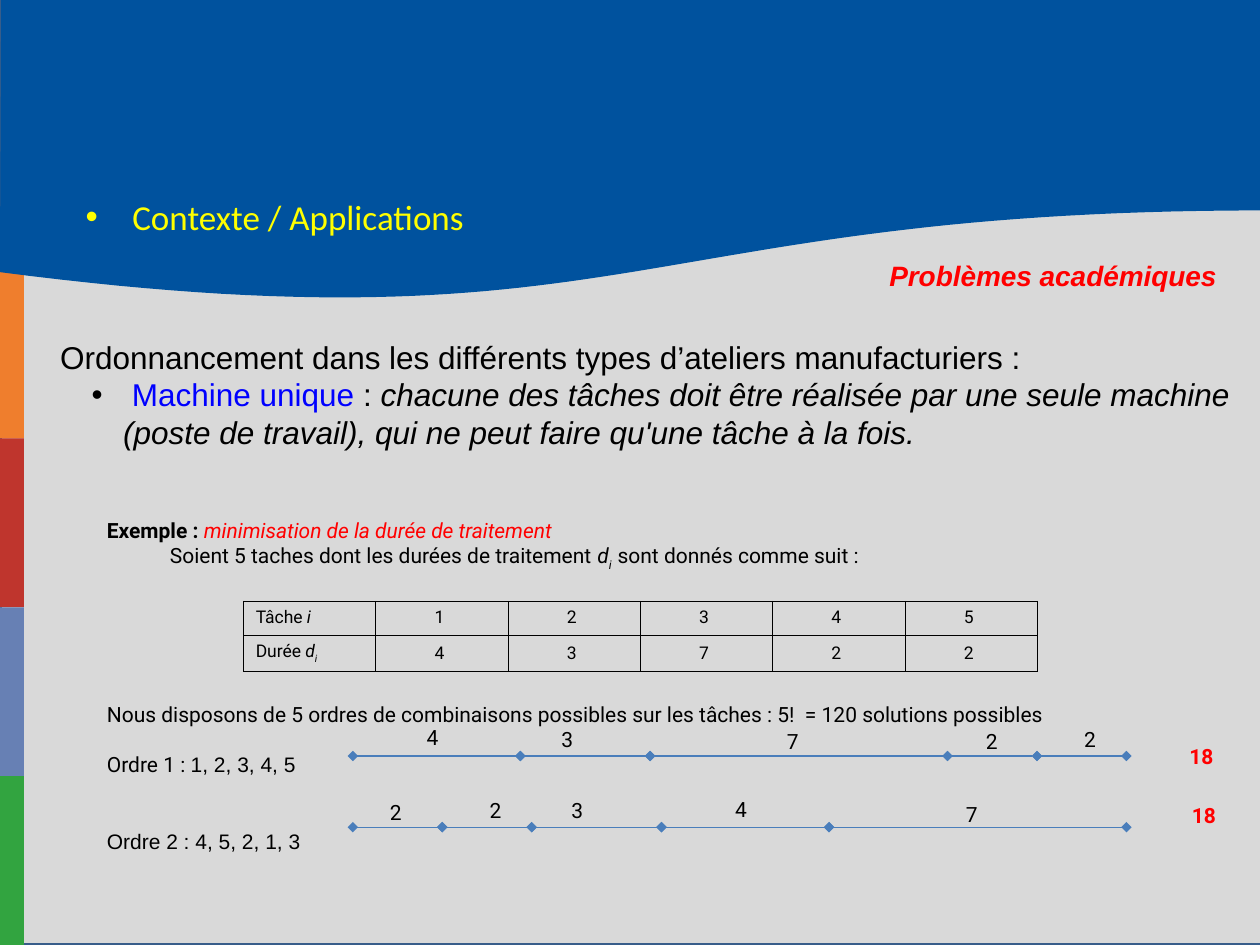
from itertools import accumulate, pairwise
from lxml import etree
from pptx import Presentation
from pptx import util as u
from pptx.dml.color import RGBColor
from pptx.enum import shapes, text
from pptx.oxml.ns import qn

W, H = u.Inches(10), u.Inches(7.5)
COL, ROW = W / 100, H / 75

BLACK = RGBColor(0, 0, 0)
RED = RGBColor(255, 0, 0)
BLUE = RGBColor(0, 0, 255)
YELLOW = RGBColor(255, 255, 0)
GREY = RGBColor(0xD9, 0xD9, 0xD9)
FRAME = RGBColor(0x38, 0x5D, 0x8A)
WAVE = RGBColor(0x00, 0x52, 0x9E)
LINE = RGBColor(0x4A, 0x7E, 0xBB)
STRIPES = [RGBColor(0xEF, 0x7E, 0x2D), RGBColor(0xBF, 0x35, 0x2D),
           RGBColor(0x67, 0x80, 0xB4), RGBColor(0x32, 0xA4, 0x40)]

SEGMENT_COLS = {2: 7.1, 3: 10.3, 4: 13.3, 7: 23.6}


def place(box):
    x, y, w, h = box
    return [round(v) for v in (x * COL, y * ROW, w * COL, h * ROW)]


def sub(parent, tag, **attrs):
    return etree.SubElement(parent, qn(tag), attrs)


def style(p, size, font="Roboto", color=BLACK, bold=False, italic=False, align=None):
    f = p.font
    f.size, f.name, f.bold, f.italic = u.Pt(size), font, bold, italic
    f.color.rgb = color
    p.alignment = align


def add_runs(p, *runs):
    for words, look in runs:
        r = p.add_run()
        r.text = words
        for key in ("bold", "italic", "name"):
            if key in look:
                setattr(r.font, key, look[key])
        if "color" in look:
            r.font.color.rgb = look["color"]
        if look.get("subscript"):
            r.font._element.set("baseline", "-25000")


def indent(p, left, first, bullet=None):
    pPr = p._p.get_or_add_pPr()
    pPr.set("marL", str(round(left * COL)))
    pPr.set("indent", str(round(first * COL)))
    if bullet:
        clr = etree.Element(qn("a:buClr"))
        sub(clr, "a:srgbClr", val=str(bullet))
        font = etree.Element(qn("a:buFont"), typeface="Arial")
        char = etree.Element(qn("a:buChar"), char="•")
        for i, el in enumerate((clr, font, char)):
            pPr.insert(i, el)


def add_text(s, box, wrap=True):
    tf = s.shapes.add_textbox(*place(box)).text_frame
    tf.word_wrap = wrap
    return tf


def add_label(s, box, words, size=12, align=text.PP_ALIGN.CENTER, **look):
    p = add_text(s, box).paragraphs[0]
    p.text = words
    style(p, size, align=align, **look)


def paint(sp, color):
    sp.shadow.inherit = False
    sp.fill.solid()
    sp.fill.fore_color.rgb = color
    sp.line.fill.background()


def bezier(a, b, c, d, steps=60):
    for i in range(1, steps + 1):
        t = i / steps
        k = ((1 - t) ** 3, 3 * t * (1 - t) ** 2, 3 * t * t * (1 - t), t ** 3)
        yield tuple(sum(m * q[axis] for m, q in zip(k, (a, b, c, d))) for axis in (0, 1))


def add_backdrop(s, box):
    x, y, w, h = box
    panel = s.shapes.add_shape(shapes.MSO_SHAPE.RECTANGLE, *place((x, y, w + 0.3, h)))
    paint(panel, GREY)
    panel.line.color.rgb = FRAME
    panel.line.width = u.Pt(2)

    step = 13.4
    first = y + h - step * len(STRIPES)
    for i, color in enumerate(STRIPES):
        stripe = (x, first + i * step, 1.9, step)
        paint(s.shapes.add_shape(shapes.MSO_SHAPE.RECTANGLE, *place(stripe)), color)

    right, left = (x + 100.3, y + 16.7), (x, y + 21.6)
    edge = bezier(right, (x + 50.3, y + 16.7), (x + 50, y + 28.1), left)
    outline = [(x + 100.2, y), right, *edge]
    fb = s.shapes.build_freeform(round((x + 0.1) * COL), round(y * ROW))
    fb.add_line_segments([(round(a * COL), round(b * ROW)) for a, b in outline])
    paint(fb.convert_to_shape(), WAVE)


def add_title(s, box):
    sp = s.shapes.title
    s.shapes._spTree.append(sp._element)
    sp.left, sp.top, sp.width, sp.height = place(box)
    tf = sp.text_frame
    tf.vertical_anchor = text.MSO_ANCHOR.TOP
    p = tf.paragraphs[0]
    p.text = "Contexte / Applications"
    style(p, 20, "Calibri", YELLOW, align=text.PP_ALIGN.LEFT)
    indent(p, 3.7, -3.7, YELLOW)


def add_definition(s, box):
    tf = add_text(s, box, wrap=False)
    intro, machine, rest = tf.paragraphs[0], tf.add_paragraph(), tf.add_paragraph()
    for p in (intro, machine, rest):
        style(p, 18, "Arial", italic=p is rest)
    intro.text = "Ordonnancement dans les différents types d’ateliers manufacturiers :"
    add_runs(machine, (" ", {}), ("Machine unique ", {"color": BLUE}), (": ", {}),
             ("chacune des tâches doit être réalisée par une seule machine", {"italic": True}))
    rest.text = "(poste de travail), qui ne peut faire qu'une tâche à la fois."
    indent(machine, 5, -2.5, BLACK)
    indent(rest, 5, 0)


def add_example(s, box):
    tf = add_text(s, box)
    lines = [
        (0, [("Exemple : ", {"bold": True}),
             ("minimisation de la durée de traitement", {"color": RED, "italic": True})]),
        (0, [("\tSoient 5 taches dont les durées de traitement ", {}),
             ("d", {"italic": True}), ("i  ", {"italic": True, "subscript": True}),
             ("sont donnés comme suit :", {})]),
        (74, [("Nous disposons de 5 ordres de combinaisons possibles sur les tâches : "
               "5!  = 120 solutions possibles", {})]),
        (14.5, [("Ordre 1 : ", {}), ("1, 2, 3, 4, 5", {"name": "Arial"})]),
        (29.5, [("Ordre 2 : 4, 5, 2, 1, 3", {"name": "Arial"})]),
    ]
    for i, (gap, runs) in enumerate(lines):
        p = tf.add_paragraph() if i else tf.paragraphs[0]
        style(p, 12)
        p.space_before = u.Pt(gap)
        add_runs(p, *runs)


def add_borders(cell):
    tcPr = cell._tc.get_or_add_tcPr()
    for i, side in enumerate(("a:lnL", "a:lnR", "a:lnT", "a:lnB")):
        ln = etree.Element(qn(side), w=str(u.Pt(0.11)))
        sub(sub(ln, "a:solidFill"), "a:srgbClr", val=str(BLACK))
        tcPr.insert(i, ln)


def add_durations(s, box):
    it = {"italic": True}
    rows = [([("Tâche ", {}), ("i", it)], "12345"),
            ([("Durée", {}), (" d", it), ("i", {**it, "subscript": True})], "43722")]
    table = s.shapes.add_table(2, 6, *place(box)).table
    table.first_row = table.horz_banding = False
    for row, share in zip(table.rows, (0.48, 0.52)):
        row.height = round(box[3] * ROW * share)
    for r, (head, values) in enumerate(rows):
        for c, runs in enumerate([head, *([(v + " ", {})] for v in values)]):
            cell = table.cell(r, c)
            cell.fill.background()
            cell.vertical_anchor = text.MSO_ANCHOR.MIDDLE
            p = cell.text_frame.paragraphs[0]
            style(p, 10, align=text.PP_ALIGN.CENTER if c else text.PP_ALIGN.LEFT)
            add_runs(p, *runs)
            add_borders(cell)


def add_timeline(s, left, y, durations, labels, total):
    stops = accumulate((SEGMENT_COLS[d] for d in durations), initial=left)
    for a, b in pairwise(stops):
        ends = [round(v) for v in (a * COL, y * ROW, b * COL, y * ROW)]
        line = s.shapes.add_connector(shapes.MSO_CONNECTOR.STRAIGHT, *ends)
        line.line.color.rgb = LINE
        line.line.width = u.Pt(0.75)
        ln = line.line._get_or_add_ln()
        sub(ln, "a:headEnd", type="diamond")
        sub(ln, "a:tailEnd", type="diamond")
        sub(line._element.spPr, "a:effectLst")
    for d, (x, rise) in zip(durations, labels):
        add_label(s, (x, y - rise, 3.65, 3), f"{d} ")
    x, rise = total
    add_label(s, (x, y - rise, 5.5, 3), f"{sum(durations)} ", color=RED, bold=True)


def main():
    prs = Presentation()
    prs.slide_width, prs.slide_height = W, H
    s = prs.slides.add_slide(prs.slide_layouts[5])
    add_backdrop(s, (0, 0, 100, 75))
    add_title(s, (5.8, 15, 88.3, 8.3))
    add_definition(s, (3.8, 26.3, 96.4, 10))
    add_label(s, (69.6, 20, 28, 3.7), "Problèmes académiques", 16, text.PP_ALIGN.LEFT,
              font="Arial", color=RED, bold=True, italic=True)
    add_example(s, (7.5, 40.6, 88.2, 33.3))
    add_durations(s, (19.3, 47.7, 63, 5.6))
    add_timeline(s, 28, 60, [4, 3, 7, 2, 2],
                 [(32.7, 3), (43.4, 2.8), (61.3, 2.7), (77.1, 2.7), (84.9, 2.8)], (92.8, 1.5))
    add_timeline(s, 28, 65.65, [2, 2, 3, 4, 7],
                 [(29.8, 2.65), (37.7, 2.85), (44.2, 2.85), (57.2, 2.95), (75.5, 2.55)],
                 (93, 2.45))
    prs.save("out.pptx")


if __name__ == "__main__":
    main()
